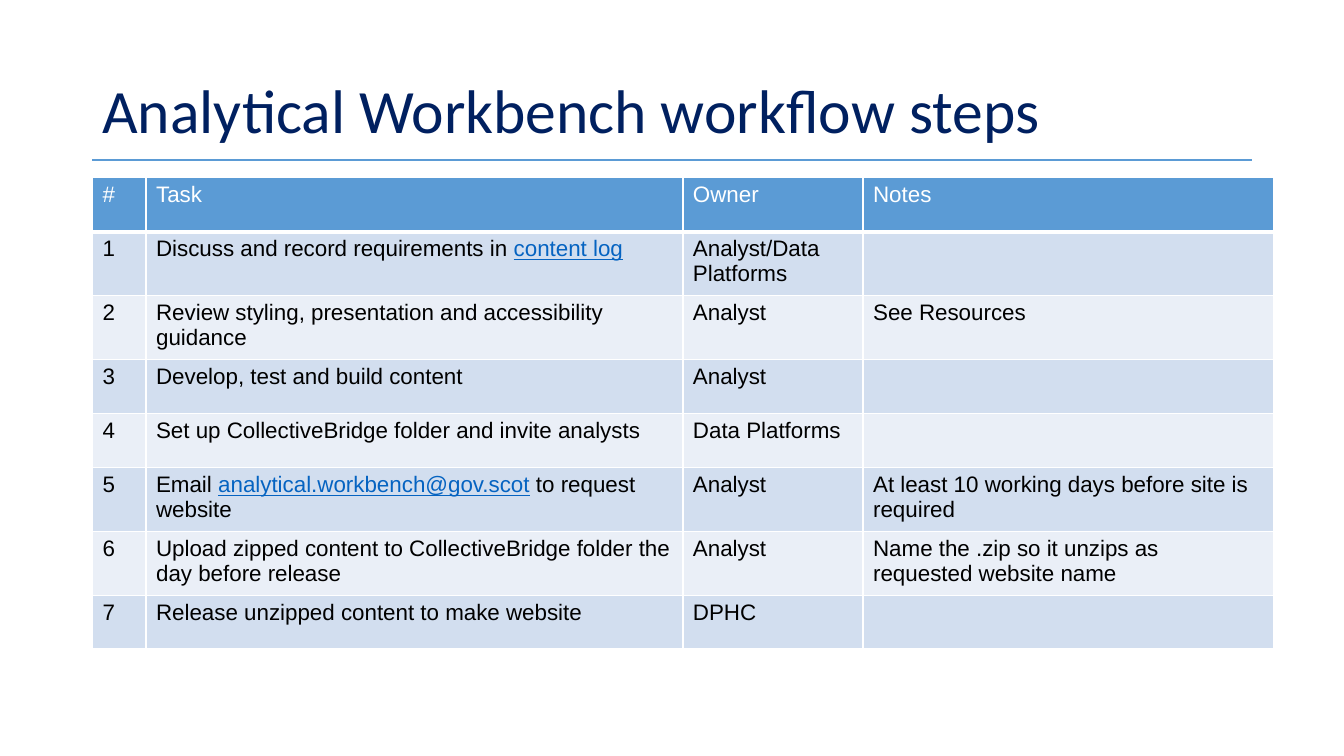
from lxml.etree import SubElement
from pptx import Presentation
from pptx.dml.color import RGBColor
from pptx.enum.shapes import MSO_CONNECTOR
from pptx.enum.text import MSO_ANCHOR
from pptx.oxml.ns import qn
from pptx.util import Cm, Pt

HEADINGS = ("#", "Task", "Owner", "Notes")
STEPS = (
    ("Discuss and record requirements in |content log|", "Analyst/Data Platforms", ""),
    ("Review styling, presentation and accessibility guidance", "Analyst", "See Resources"),
    ("Develop, test and build content", "Analyst", ""),
    ("Set up CollectiveBridge folder and invite analysts", "Data Platforms", ""),
    ("Email |analytical.workbench@gov.scot| to request website", "Analyst",
     "At least 10 working days before site is required"),
    ("Upload zipped content to CollectiveBridge folder the day before release", "Analyst",
     "Name the .zip so it unzips as requested website name"),
    ("Release unzipped content to make website", "DPHC", ""),
)


def color(value):
    return RGBColor.from_string(value)


def write(frame, text, font="Arial", size=16, ink="000000", spacing=None):
    para = frame.paragraphs[0]
    para.line_spacing = spacing
    for index, part in enumerate(text.split("|")):
        if not part:
            continue
        linked = index % 2 == 1
        span = para.add_run()
        span.text = part
        span.font.name = font
        span.font.size = Pt(size)
        span.font.bold = False
        span.font.underline = linked
        span.font.color.rgb = color("0563C1" if linked else ink)


class WorkflowSlide:
    accent = "5B9BD5"
    title_ink = "002060"
    white = "FFFFFF"
    bands = ("D2DEEF", "EAEFF7")

    def __init__(self, page):
        self.page = page

    def title(self, text, left, top, width, height):
        box = self.page.shapes.add_textbox(Cm(left), Cm(top), Cm(width), Cm(height))
        frame = box.text_frame
        frame.word_wrap = True
        frame.vertical_anchor = MSO_ANCHOR.MIDDLE
        write(frame, text, font="Calibri", size=44, ink=self.title_ink, spacing=0.9)

    def rule(self, left, top, width):
        line = self.page.shapes.add_connector(
            MSO_CONNECTOR.STRAIGHT, Cm(left), Cm(top), Cm(left + width), Cm(top))
        line.line.color.rgb = color(self.accent)
        line.line.width = Pt(1.25)
        SubElement(line._element.spPr, qn("a:effectLst"))

    def borders(self, cell, bottom):
        properties = cell._tc.get_or_add_tcPr()
        for side, width in (("L", 1), ("R", 1), ("T", 1), ("B", bottom)):
            edge = SubElement(properties, qn(f"a:ln{side}"), w=str(Pt(width)))
            fill = SubElement(edge, qn("a:solidFill"))
            SubElement(fill, qn("a:srgbClr"), val=self.white)

    def table(self, rows, left, top, widths, row_height):
        frame = self.page.shapes.add_table(
            len(rows), len(widths), Cm(left), Cm(top),
            Cm(sum(widths)), Cm(row_height * len(rows)))
        grid = frame.table
        for column, width in zip(grid.columns, widths):
            column.width = Cm(width)
        for row_index, texts in enumerate(rows):
            grid.rows[row_index].height = Cm(row_height)
            header = row_index == 0
            fill = self.accent if header else self.bands[(row_index - 1) % 2]
            for column_index, text in enumerate(texts):
                cell = grid.cell(row_index, column_index)
                self.borders(cell, bottom=3 if header else 1)
                cell.fill.solid()
                cell.fill.fore_color.rgb = color(fill)
                write(cell.text_frame, text, ink=self.white if header else "000000")


def main():
    deck = Presentation()
    deck.slide_width = Cm(33.87)
    deck.slide_height = Cm(19.05)
    slide = WorkflowSlide(deck.slides.add_slide(deck.slide_layouts[6]))
    left = 2.33
    slide.rule(left, 4.03, 29.21)
    slide.title("Analytical Workbench workflow steps", left, 1.01, 29.21, 3.68)
    steps = [(str(number), *step) for number, step in enumerate(STEPS, 1)]
    slide.table([HEADINGS, *steps], left, 4.48, (1.35, 13.53, 4.54, 10.35), 1.36)
    deck.save("out.pptx")


if __name__ == "__main__":
    main()
